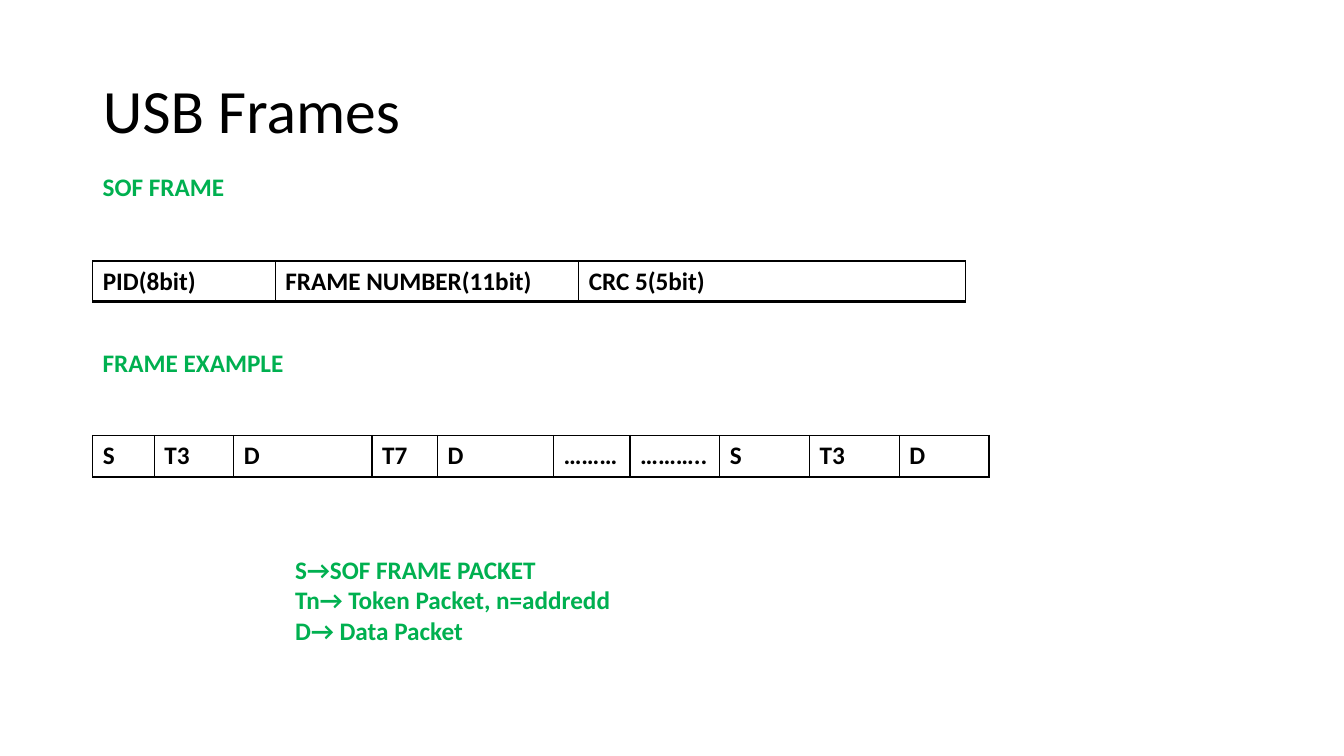
import pptx
import pptx.util
import pptx.dml.color
import pptx.enum.text
import pptx.oxml
import pptx.oxml.ns
from pptx.util import Inches

COLOURS = {"text": "000000", "accent": "00B050", "border": "000000"}
TITLE = {"name": "Calibri", "size": pptx.util.Pt(44), "bold": False}
BODY = {"name": "Calibri", "size": pptx.util.Pt(18), "bold": True}
BORDERS = {"lnL": 1, "lnR": 1, "lnT": 1, "lnB": 2}  # points, in schema order
LEFT = 0.92

SOF_FIELDS = [("PID(8bit)", 1.81), ("FRAME NUMBER(11bit)", 3.01), ("CRC 5(5bit)", 3.84)]
EXAMPLE_PACKETS = [
    ("S", 0.61), ("T3", 0.79), ("D", 1.37), ("T7", 0.65), ("D", 1.15),
    ("………", 0.76), ("………..", 0.89), ("S", 0.89), ("T3", 0.89), ("D", 0.89),
]
LEGEND = ["S→SOF FRAME PACKET", "Tn→ Token Packet, n=addredd", "D→ Data Packet"]


def format_font(font, values, colour):
    for name, value in values.items():
        setattr(font, name, value)
    font.color.rgb = pptx.dml.color.RGBColor.from_string(COLOURS[colour])


def set_title(page, text):
    title = page.shapes.title
    title.left, title.top = Inches(LEFT), Inches(0.4)
    title.width, title.height = Inches(11.5), Inches(1.45)
    frame = title.text_frame
    frame.word_wrap = True
    frame.vertical_anchor = pptx.enum.text.MSO_ANCHOR.MIDDLE
    para = frame.paragraphs[0]
    para.alignment = pptx.enum.text.PP_ALIGN.LEFT
    para.line_spacing = 0.9
    span = para.add_run()
    span.text = text
    format_font(span.font, TITLE, "text")


def add_label(page, lines, left, top, width, height):
    box = page.shapes.add_textbox(Inches(left), Inches(top), Inches(width), Inches(height))
    frame = box.text_frame
    frame.word_wrap = True
    frame.auto_size = pptx.enum.text.MSO_AUTO_SIZE.SHAPE_TO_FIT_TEXT
    for index, line in enumerate(lines):
        para = frame.add_paragraph() if index else frame.paragraphs[0]
        span = para.add_run()
        span.text = line
        format_font(span.font, BODY, "accent")


def add_borders(cell):
    properties = cell._tc.get_or_add_tcPr()
    for index, (side, points) in enumerate(BORDERS.items()):
        border = pptx.oxml.parse_xml(
            f'<a:{side} {pptx.oxml.ns.nsdecls("a")} w="{pptx.util.Pt(points)}">'
            f'<a:solidFill><a:srgbClr val="{COLOURS["border"]}"/></a:solidFill>'
            f'</a:{side}>'
        )
        properties.insert(index, border)


def add_frame_table(page, fields, top, height):
    width = sum(field_width for _, field_width in fields)
    table = page.shapes.add_table(
        1, len(fields), Inches(LEFT), Inches(top), Inches(width), Inches(height)
    ).table
    table.first_row = table.horz_banding = False
    for index, (text, field_width) in enumerate(fields):
        table.columns[index].width = Inches(field_width)
        cell = table.cell(0, index)
        cell.fill.background()
        add_borders(cell)
        span = cell.text_frame.paragraphs[0].add_run()
        span.text = text
        format_font(span.font, BODY, "text")


def main():
    deck = pptx.Presentation()
    deck.slide_width, deck.slide_height = Inches(13.33), Inches(7.5)
    page = deck.slides.add_slide(deck.slide_layouts.get_by_name("Title Only"))
    set_title(page, "USB Frames")

    # Start-of-frame layout
    add_label(page, ["SOF FRAME"], LEFT, 1.65, 2.42, 0.4)
    add_frame_table(page, SOF_FIELDS, 2.59, 0.4)

    # Example sequence of packets
    add_label(page, ["FRAME EXAMPLE"], LEFT, 3.4, 2.42, 0.4)
    add_frame_table(page, EXAMPLE_PACKETS, 4.32, 0.41)

    # Legend
    add_label(page, LEGEND, 2.83, 5.45, 4.03, 1.01)

    deck.save("out.pptx")


if __name__ == "__main__":
    main()
